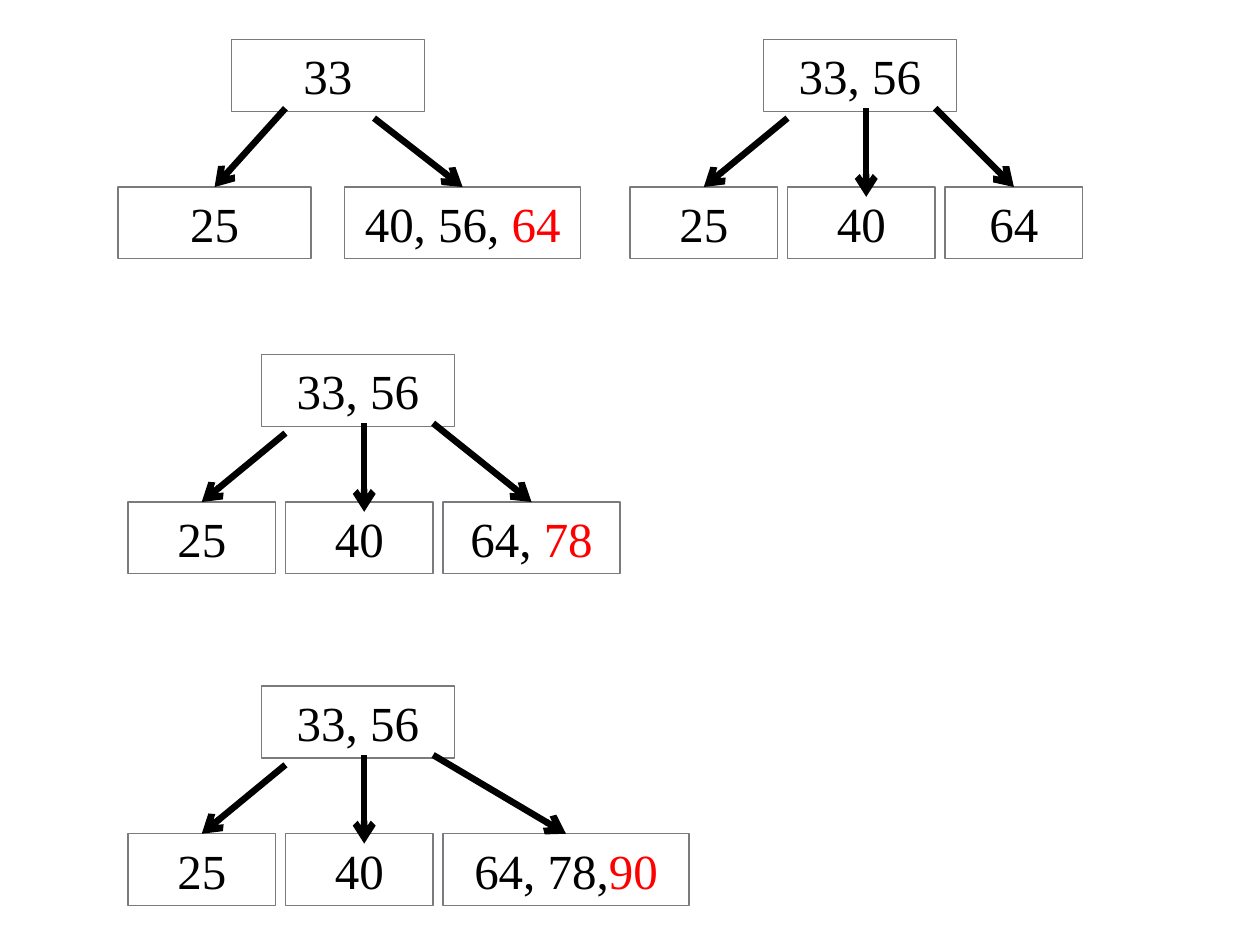
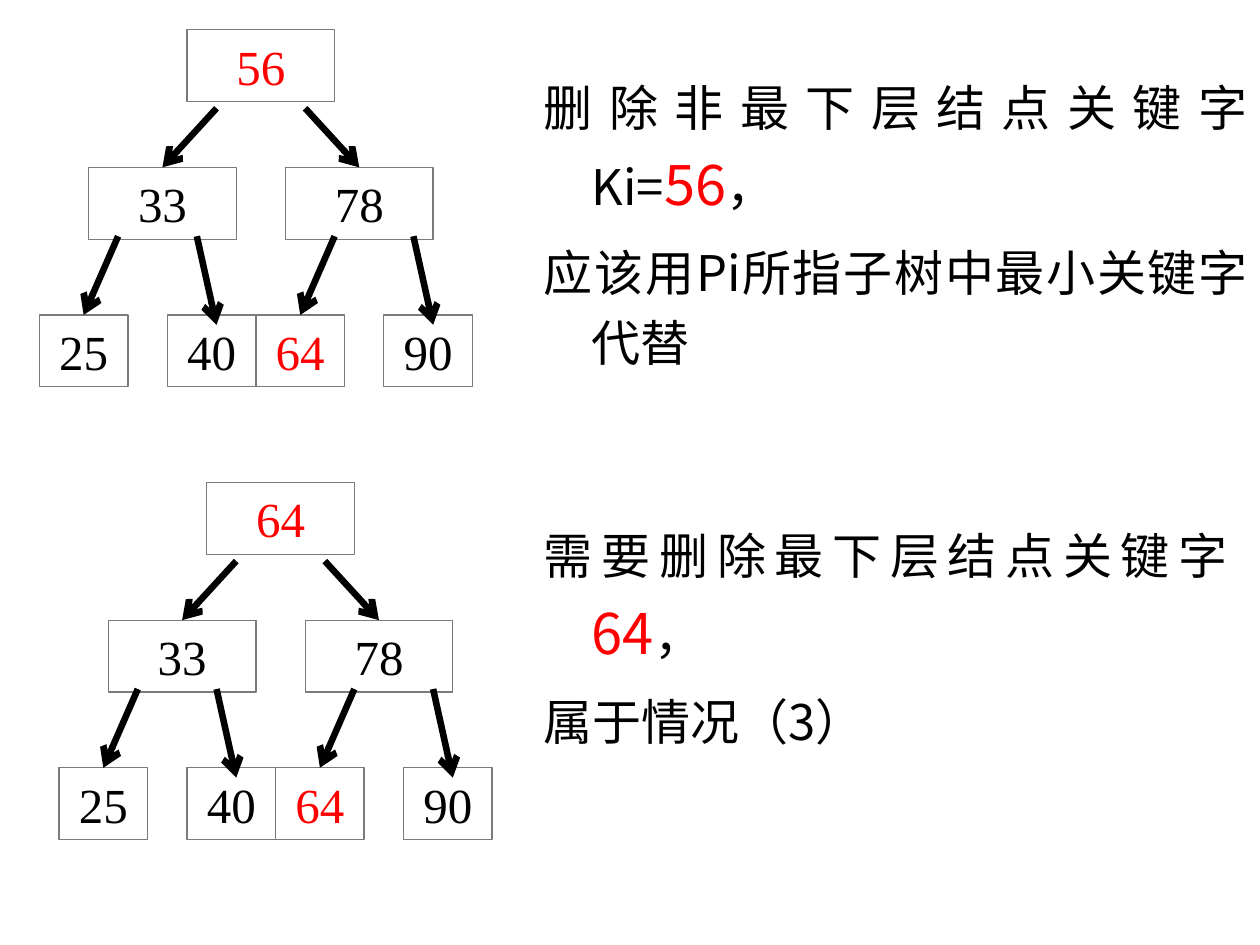
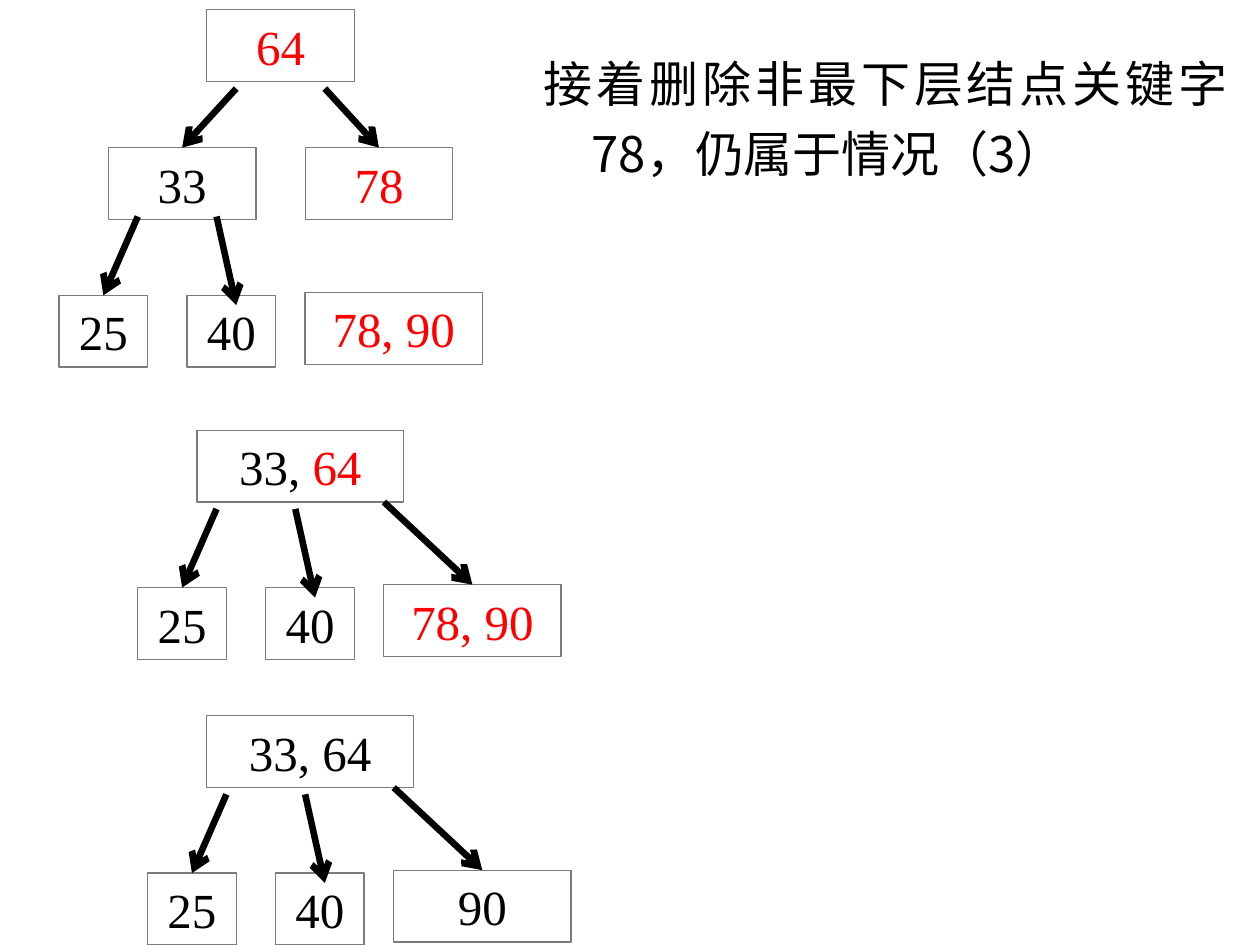
import pptx
import pptx.util
import pptx.dml.color
import pptx.enum.shapes
import pptx.enum.text
import pptx.oxml
import pptx.oxml.ns

COLORS = {"ink": "000000", "key": "FF0000", "edge": "797B7E"}
NODE_FONT, NOTE_FONT = "Times New Roman", "Noto Sans CJK SC"
WIDTH, HEIGHT = pptx.util.Inches(10), pptx.util.Inches(7.5)
COLUMNS = 128
NODE_HEIGHT = 7.3
LEAF, INNER, WIDE = 9, 15, 18


def grid(n):
    """Turn a number of grid cells into a length."""
    return pptx.util.Emu(round(WIDTH * n / COLUMNS))


def rgb(name):
    """Look up a colour of the palette."""
    return pptx.dml.color.RGBColor.from_string(COLORS[name])


def add_run(p, text, color="ink", size=28, font=NODE_FONT):
    """Append one formatted run to a paragraph."""
    r = p.add_run()
    r.text = text
    r.font.size = pptx.util.Pt(size)
    r.font.name = font
    r.font.color.rgb = rgb(color)
    if font == NOTE_FONT:
        ea = pptx.oxml.ns.qn("a:ea")
        r.font._element.append(r.font._element.makeelement(ea, {"typeface": font}))


def add_node(shapes, x, y, width, plain="", key=""):
    """Draw a tree node holding plain keys followed by highlighted keys."""
    sp = shapes.add_shape(pptx.enum.shapes.MSO_SHAPE.RECTANGLE,
                          grid(x), grid(y), grid(width), grid(NODE_HEIGHT))
    sp.shadow.inherit = False
    sp.fill.background()
    sp.line.color.rgb = rgb("edge")
    sp.line.width = pptx.util.Pt(0.75)
    tf = sp.text_frame
    tf.word_wrap = True
    tf.auto_size = pptx.enum.text.MSO_AUTO_SIZE.SHAPE_TO_FIT_TEXT
    p = tf.paragraphs[0]
    p.alignment = pptx.enum.text.PP_ALIGN.CENTER
    for text, color in ((plain, "ink"), (key, "key")):
        if text:
            add_run(p, text, color)
    return sp


def add_arrow(shapes, x, y, target):
    """Draw an arrow to a node's top side, or to a grid point."""
    joined = not isinstance(target, tuple)
    if joined:
        end = target.left + target.width // 2, target.top
    else:
        end = grid(target[0]), grid(target[1])
    line = shapes.add_connector(pptx.enum.shapes.MSO_CONNECTOR.STRAIGHT,
                                grid(x), grid(y), *end)
    if joined:
        line.end_connect(target, 0)
    line.line.color.rgb = rgb("ink")
    line.line.width = pptx.util.Pt(3.75)
    ln = line.line._get_or_add_ln()
    ln.append(ln.makeelement(pptx.oxml.ns.qn("a:tailEnd"), {"type": "arrow"}))
    props = line._element.spPr
    props.append(props.makeelement(pptx.oxml.ns.qn("a:effectLst"), {}))


def add_pair_tree(shapes, x, y):
    """Draw the first tree, a root with two leaves."""
    left = add_node(shapes, x, y + 15, 19.6, "25")
    right = add_node(shapes, x + 23, y + 15, 24, "40, 56, ", "64")
    add_node(shapes, x + 11.5, y, 19.6, "33")
    add_arrow(shapes, x + 17, y + 7, left)
    add_arrow(shapes, x + 26, y + 8, right)


def add_insert_tree(shapes, x, y, width, plain, key=""):
    """Draw a two-key root with three leaves, the last one growing."""
    left = add_node(shapes, x, y + 15, INNER, "25")
    add_node(shapes, x + 16, y + 15, INNER, "40")
    add_node(shapes, x + 13.55, y, 19.6, "33, 56")
    add_arrow(shapes, x + 16, y + 8, left)
    add_arrow(shapes, x + 24, y + 7, (x + 24, y + 16))
    last = add_node(shapes, x + 32, y + 15, width, plain, key)
    add_arrow(shapes, x + 31, y + 7, last)


def add_leaf_pair(shapes, x, y, top):
    """Draw leaves 25 and 40 with the arrows that reach them."""
    left = add_node(shapes, x, y, LEAF, "25")
    add_node(shapes, x + 13, y, LEAF, "40")
    add_arrow(shapes, x + 8, top, left)
    add_arrow(shapes, x + 16, top, (x + 18, y + 1))


def add_upper_levels(shapes, x, y, root, plain="", key=""):
    """Draw a root, its two children and the left leaves."""
    add_node(shapes, x + 15, y, INNER, key=root)
    left = add_node(shapes, x + 5, y + 14, INNER, "33")
    right = add_node(shapes, x + 25, y + 14, INNER, plain, key)
    add_arrow(shapes, x + 18, y + 8, left)
    add_arrow(shapes, x + 27, y + 8, right)
    add_leaf_pair(shapes, x, y + 29, y + 21)


def add_full_tree(shapes, x, y, root):
    """Draw the three-level tree with leaves 64 and 90."""
    add_upper_levels(shapes, x, y, root, plain="78")
    leaf = add_node(shapes, x + 22, y + 29, LEAF, key="64")
    add_node(shapes, x + 35, y + 29, LEAF, "90")
    add_arrow(shapes, x + 30, y + 21, leaf)
    add_arrow(shapes, x + 38, y + 21, (x + 40, y + 30))


def add_merged_tree(shapes, x, y, root, leaf):
    """Draw the tree after merging, root and leaf given as key pairs."""
    add_node(shapes, x + 6, y, 21, *root)
    add_leaf_pair(shapes, x, y + 16, y + 8)
    last = add_node(shapes, x + 25, y + 15.7, WIDE, *leaf)
    add_arrow(shapes, x + 25, y + 7.3, last)


def add_note(slide, y, width, height, paragraphs):
    """Add justified explanation text with hanging indents."""
    sp = slide.shapes.add_textbox(grid(54), grid(y), grid(width), grid(height))
    tf = sp.text_frame
    tf.word_wrap = True
    tf.auto_size = pptx.enum.text.MSO_AUTO_SIZE.SHAPE_TO_FIT_TEXT
    for i, runs in enumerate(paragraphs):
        p = tf.add_paragraph() if i else tf.paragraphs[0]
        p.alignment = pptx.enum.text.PP_ALIGN.JUSTIFY
        p.line_spacing = 1.2
        p.space_before = pptx.util.Pt(8)
        indent = pptx.util.Inches(0.38)
        p._p.get_or_add_pPr().set("marL", str(indent))
        p._p.get_or_add_pPr().set("indent", str(-indent))
        for run in runs:
            add_run(p, *run, font=NOTE_FONT)


def add_insertions(slide):
    """Fill the slide that inserts 64, 78 and 90."""
    add_pair_tree(slide.shapes.add_group_shape().shapes, 12, 4)
    for args in ((64, 4, 14, "64"), (13, 36, WIDE, "64, ", "78"),
                 (13, 69.7, 25, "64, 78,", "90")):
        add_insert_tree(slide.shapes.add_group_shape().shapes, *args)


def add_replacement(slide):
    """Fill the slide that replaces key 56 by 64."""
    for args in ((4, 3, "56"), (6, 49, "64")):
        add_full_tree(slide.shapes.add_group_shape().shapes, *args)
    add_note(slide, 6, 74, 25.5, [
        [("删除非最下层结点关键字Ki=",), ("56", "key", 32), ("，",)],
        [("应该用Pi所指子树中最小关键字代替",)]])
    add_note(slide, 51.6, 72, 18.2, [
        [("需要删除最下层结点关键字",), ("64", "key", 32), ("，",)],
        [("属于情况（3）",)]])


def add_merging(slide):
    """Fill the slide that deletes key 78."""
    add_upper_levels(slide.shapes, 6, 1, "64", key="78")
    add_node(slide.shapes, 31, 29.7, WIDE, key="78, 90")
    add_note(slide, 3.6, 72, 14.8, [[("接着删除非最下层结点关键字78，仍属于情况（3）",)]])
    add_merged_tree(slide.shapes, 14, 43.7, ("33, ", "64"), ("", "78, 90"))
    add_merged_tree(slide.shapes, 15, 72.7, ("33, 64",), ("90",))


def main():
    """Build the three slides and save them."""
    prs = pptx.Presentation()
    prs.slide_width, prs.slide_height = WIDTH, HEIGHT
    for fill_slide in (add_insertions, add_replacement, add_merging):
        fill_slide(prs.slides.add_slide(prs.slide_layouts[6]))
    prs.save("out.pptx")


if __name__ == "__main__":
    main()
